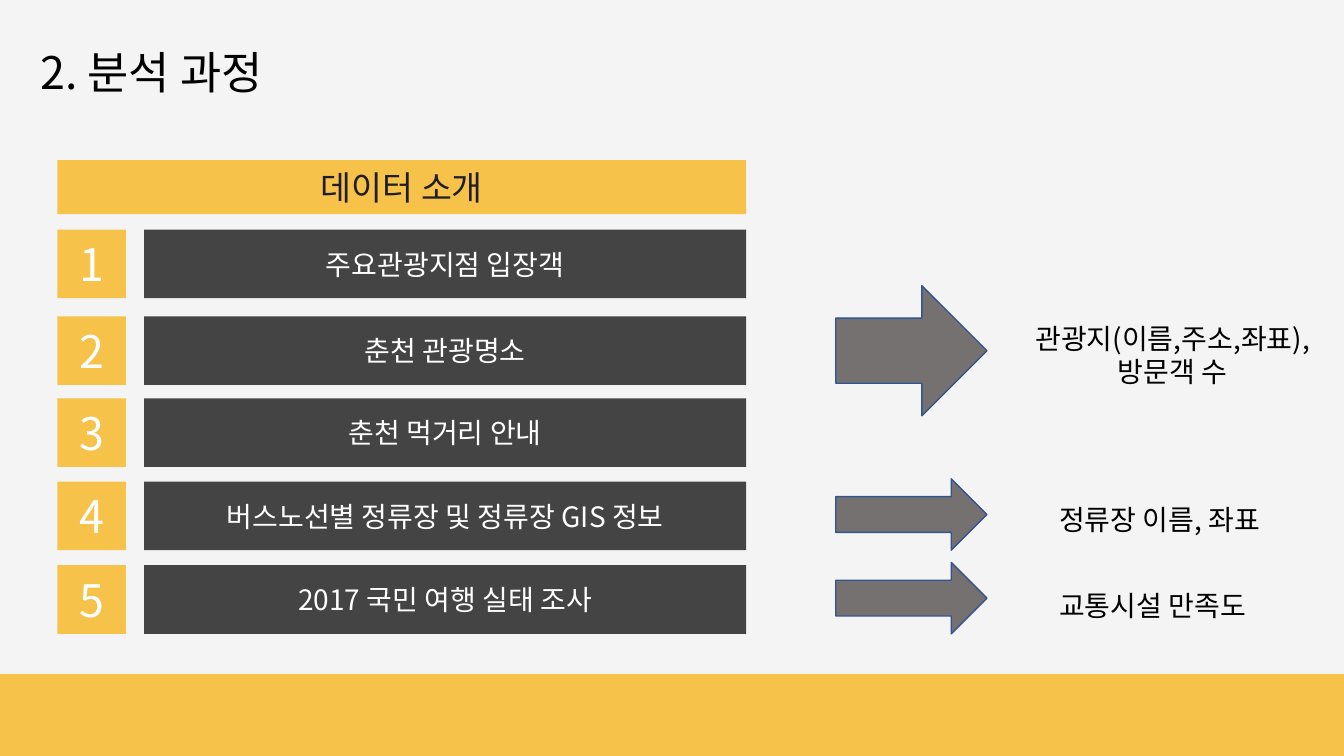
import pptx
import pptx.util
import pptx.dml.color
import pptx.enum.shapes
import pptx.enum.text
import pptx.oxml.ns
from lxml import etree

Pt = pptx.util.Pt
Shape = pptx.enum.shapes.MSO_SHAPE
Align = pptx.enum.text.PP_ALIGN
Anchor = pptx.enum.text.MSO_ANCHOR

FONT = "Noto Sans CJK KR"
GOLD, DARK, GRAY, BLUE = "F6C24A", "444444", "767171", "325491"
WHITE, BLACK, INK = "FFFFFF", "000000", "1F1E24"

LEFT, RIGHT, SIDE = 41, 533, 49
BAR = 103
ROWS = [
    (164, "주요관광지점 입장객"),
    (226, "춘천 관광명소"),
    (284.5, "춘천 먹거리 안내"),
    (344, "버스노선별 정류장 및 정류장 GIS 정보"),
    (403.75, "2017 국민 여행 실태 조사"),
]
ARROWS = [(204, 93), (342, 51), (401.75, 51)]
NOTES = [
    (723.6, 226, 228, 55.5, ["관광지(이름,주소,좌표),", "방문객 수"], Align.CENTER),
    (749.5, 355.5, 171.5, 30.5, ["정류장 이름, 좌표"], Align.LEFT),
    (749.5, 417, 171.5, 30.5, ["교통시설 만족도"], Align.LEFT),
]


def paint(fill, color):
    fill.solid()
    fill.fore_color.rgb = pptx.dml.color.RGBColor.from_string(color)


def write(frame, lines, size, color, align, anchor=Anchor.TOP):
    frame.word_wrap = True
    frame.vertical_anchor = anchor
    frame.text = "\n".join(lines)
    for para in frame.paragraphs:
        para.alignment = align
        font = para.font
        font.size = Pt(size)
        font.name = FONT
        paint(font.fill, color)
        # Hangul takes its face from the East Asian font
        ea = etree.SubElement(font._element, pptx.oxml.ns.qn("a:ea"))
        ea.set("typeface", FONT)


def add_block(slide, kind, x, y, w, h, color):
    shape = slide.shapes.add_shape(kind, Pt(x), Pt(y), Pt(w), Pt(h))
    shape.shadow.inherit = False
    paint(shape.fill, color)
    shape.line.fill.background()
    return shape


def add_label(slide, x, y, w, h, fill, text, size, color):
    box = add_block(slide, Shape.RECTANGLE, x, y, w, h, fill)
    write(box.text_frame, [text], size, color, Align.CENTER, Anchor.MIDDLE)


def add_arrow(slide, y, h):
    arrow = add_block(slide, Shape.RIGHT_ARROW, 597, y, 108, h, GRAY)
    paint(arrow.line.fill, BLUE)
    arrow.line.width = Pt(1)


def add_note(slide, x, y, w, h, lines, align):
    box = slide.shapes.add_textbox(Pt(x), Pt(y), Pt(w), Pt(h))
    write(box.text_frame, lines, 20, BLACK, align)


def set_title(slide, text):
    title = slide.shapes.title
    title.left, title.top = Pt(21.6), Pt(32.4)
    title.width, title.height = Pt(194.4), Pt(58.3)
    write(title.text_frame, [text], 32, BLACK, Align.LEFT)
    title.text_frame.paragraphs[0].line_spacing = 0.9


def main():
    deck = pptx.Presentation()
    deck.slide_width, deck.slide_height = Pt(960), Pt(540)
    slide = deck.slides.add_slide(deck.slide_layouts[5])
    paint(slide.background.fill, "F4F4F4")

    set_title(slide, "2. 분석 과정")
    add_block(slide, Shape.RECTANGLE, 0, 481.5, 960, 58.5, GOLD)
    add_label(slide, LEFT, 114.5, RIGHT - LEFT, 38.5, GOLD, "데이터 소개", 24, INK)
    for num, (y, name) in enumerate(ROWS, 1):
        add_label(slide, LEFT, y, SIDE, SIDE, GOLD, str(num), 32, WHITE)
        add_label(slide, BAR, y, RIGHT - BAR, SIDE, DARK, name, 20, WHITE)
    for y, h in ARROWS:
        add_arrow(slide, y, h)
    for note in NOTES:
        add_note(slide, *note)

    deck.save("out.pptx")


if __name__ == "__main__":
    main()
